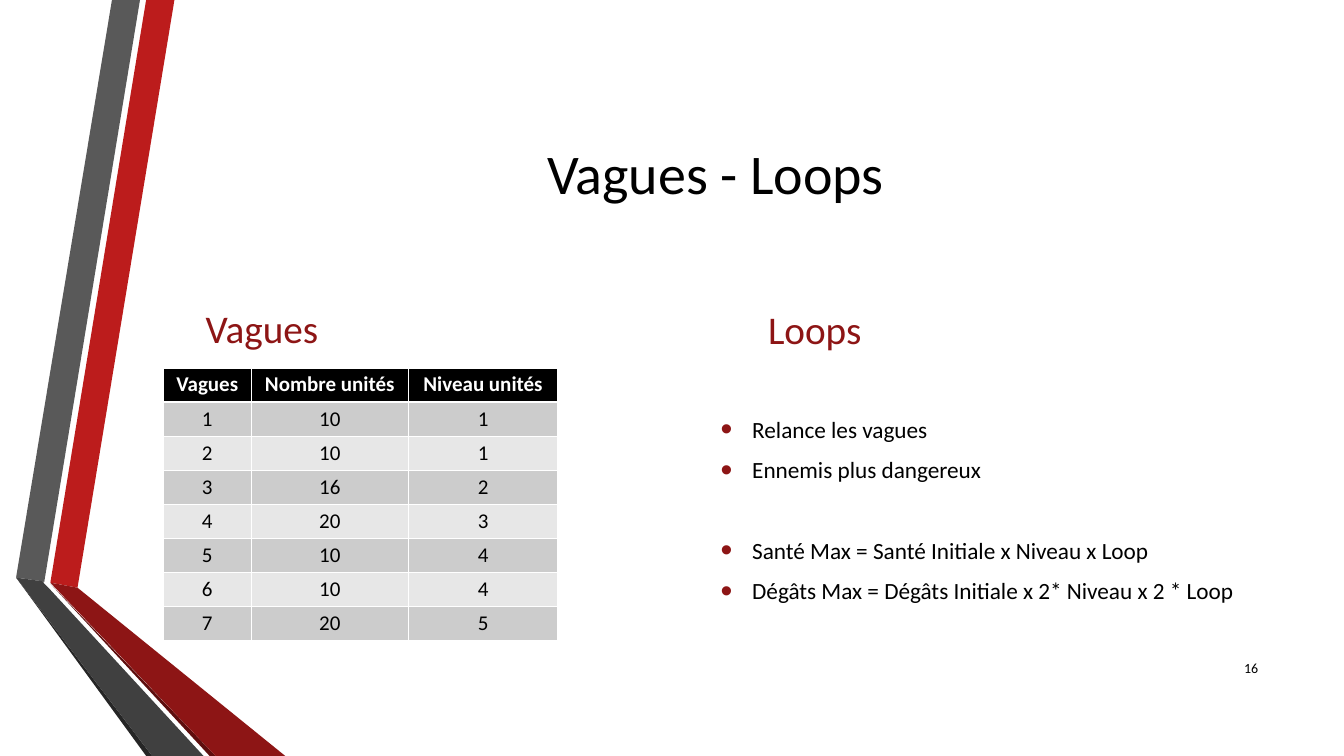
from lxml import etree
from pptx import Presentation
from pptx import util as u
from pptx.dml.color import RGBColor
from pptx.enum import text
from pptx.oxml.ns import qn

Pt = u.Pt
COLORS = {
    "red": "BC1C1C", "dark red": "8D1515", "deep red": "5E0E0E",
    "gray": "595959", "dark gray": "404040", "deep gray": "262626",
    "black": "000000", "white": "FFFFFF", "odd row": "CCCCCC", "even row": "E7E7E7",
}


def color(name):
    return RGBColor.from_string(COLORS[name])


def style(p, size, name, align=text.PP_ALIGN.LEFT, bold=False):
    """Format a paragraph and all its runs."""
    p.alignment = align
    for r in p.runs:
        r.font.name = "Calibri"
        r.font.size = Pt(size)
        r.font.bold = bold
        r.font.color.rgb = color(name)


prs = Presentation()
prs.slide_width, prs.slide_height = Pt(960), Pt(540)
s = prs.slides.add_slide(prs.slide_layouts.get_by_name("Comparison"))
title, left_head, left_body, right_head, right_body = s.placeholders
left_body.element.getparent().remove(left_body.element)

# Folded ribbons on the left edge
ribbons = [
    ("red", [(36, 416.2), (55.4, 419.8), (124.6, 0), (104.4, 0)]),
    ("gray", [(100, 0), (80, 0), (11.5, 412.6), (31.7, 415.4)]),
    ("deep gray", [(11.5, 412.6), (104.4, 540), (108.7, 540)]),
    ("deep red", [(36, 416.9), (149.8, 540), (154.1, 540)]),
    ("dark red", [(36, 416.2), (154.1, 540), (203.8, 540), (55.4, 419.8)]),
    ("dark gray", [(145.4, 540), (34.6, 419.8), (31, 416.2), (31.7, 415.4),
                   (11.5, 412.6), (108.7, 540)]),
]
for name, points in ribbons:
    corners = [(Pt(x), Pt(y)) for x, y in points]
    builder = s.shapes.build_freeform(*corners[0])
    builder.add_line_segments(corners[1:])
    sp = builder.convert_to_shape()
    sp.shadow.inherit = False
    sp.fill.solid()
    sp.fill.fore_color.rgb = color(name)
    sp.line.fill.background()

# Title, headings and page number
number = s.shapes.add_textbox(0, 0, 0, 0)
MIDDLE, BOTTOM = text.MSO_ANCHOR.MIDDLE, text.MSO_ANCHOR.BOTTOM
LEFT, CENTER, RIGHT = text.PP_ALIGN.LEFT, text.PP_ALIGN.CENTER, text.PP_ALIGN.RIGHT
labels = [
    (title, "Vagues - Loops", (116.6, 54, 789.1, 138.2), 40, "black", CENTER, MIDDLE),
    (left_head, "Vagues", (139.7, 209.5, 362.9, 45.4), 28, "dark red", LEFT, BOTTOM),
    (right_head, "Loops", (541.4, 210.2, 364.3, 45.4), 28, "dark red", LEFT, BOTTOM),
    (number, "16", (862.6, 463, 43.2, 28.8), 10, "black", RIGHT, MIDDLE),
]
for sp, words, box, size, name, align, anchor in labels:
    sp.left, sp.top, sp.width, sp.height = map(Pt, box)
    tf = sp.text_frame
    tf.text = words
    tf.word_wrap = True
    tf.auto_size = text.MSO_AUTO_SIZE.NONE
    tf.vertical_anchor = anchor
    style(tf.paragraphs[0], size, name, align)

# Wave table
waves = [
    ("Vagues", "Nombre unités", "Niveau unités"),
    (1, 10, 1), (2, 10, 1), (3, 16, 2), (4, 20, 3), (5, 10, 4), (6, 10, 4), (7, 20, 5),
]
table = s.shapes.add_table(len(waves), 3, Pt(116.6), Pt(262.8), Pt(282), Pt(195.2)).table
for column, width in zip(table.columns, (63, 112, 107)):
    column.width = Pt(width)
for i, wave in enumerate(waves):
    table.rows[i].height = Pt(24.4)
    header = i == 0
    fill = "black" if header else "odd row" if i % 2 else "even row"
    for cell, value in zip(table.rows[i].cells, wave):
        cell.text = str(value)
        cell.margin_left = cell.margin_right = Pt(6)
        cell.margin_top = cell.margin_bottom = Pt(2.9)
        cell.fill.solid()
        cell.fill.fore_color.rgb = color(fill)
        style(cell.text_frame.paragraphs[0], 15, "white" if header else "black", CENTER, header)

# Loop rules: (text, space before)
rules = [
    ("Relance les vagues", 0),
    ("Ennemis plus dangereux", 3),
    ("Santé Max = Santé Initiale x Niveau x Loop", 31.6),
    ("Dégâts Max = Dégâts Initiale x 2* Niveau x 2 * Loop", 3),
]
right_body.left, right_body.top = Pt(507.6), Pt(262.8)
right_body.width, right_body.height = Pt(398.2), Pt(193.7)
tf = right_body.text_frame
tf.text = "\n".join(words for words, gap in rules)
tf.word_wrap = True
tf.auto_size = text.MSO_AUTO_SIZE.NONE
tf.vertical_anchor = text.MSO_ANCHOR.TOP
tf.margin_top = Pt(33.6)
for p, (words, gap) in zip(tf.paragraphs, rules):
    style(p, 16.6, "black")
    p.space_before, p.space_after = Pt(gap), Pt(6)
    pPr = p._p.get_or_add_pPr()
    pPr.set("marL", str(Pt(22.5)))
    pPr.set("indent", str(-Pt(22.5)))
    bullet_color = etree.SubElement(pPr, qn("a:buClr"))
    etree.SubElement(bullet_color, qn("a:srgbClr"), val=COLORS["dark red"])
    etree.SubElement(pPr, qn("a:buSzPct"), val="145000")
    etree.SubElement(pPr, qn("a:buFont"), typeface="Arial")
    etree.SubElement(pPr, qn("a:buChar"), char="•")

prs.save("out.pptx")
